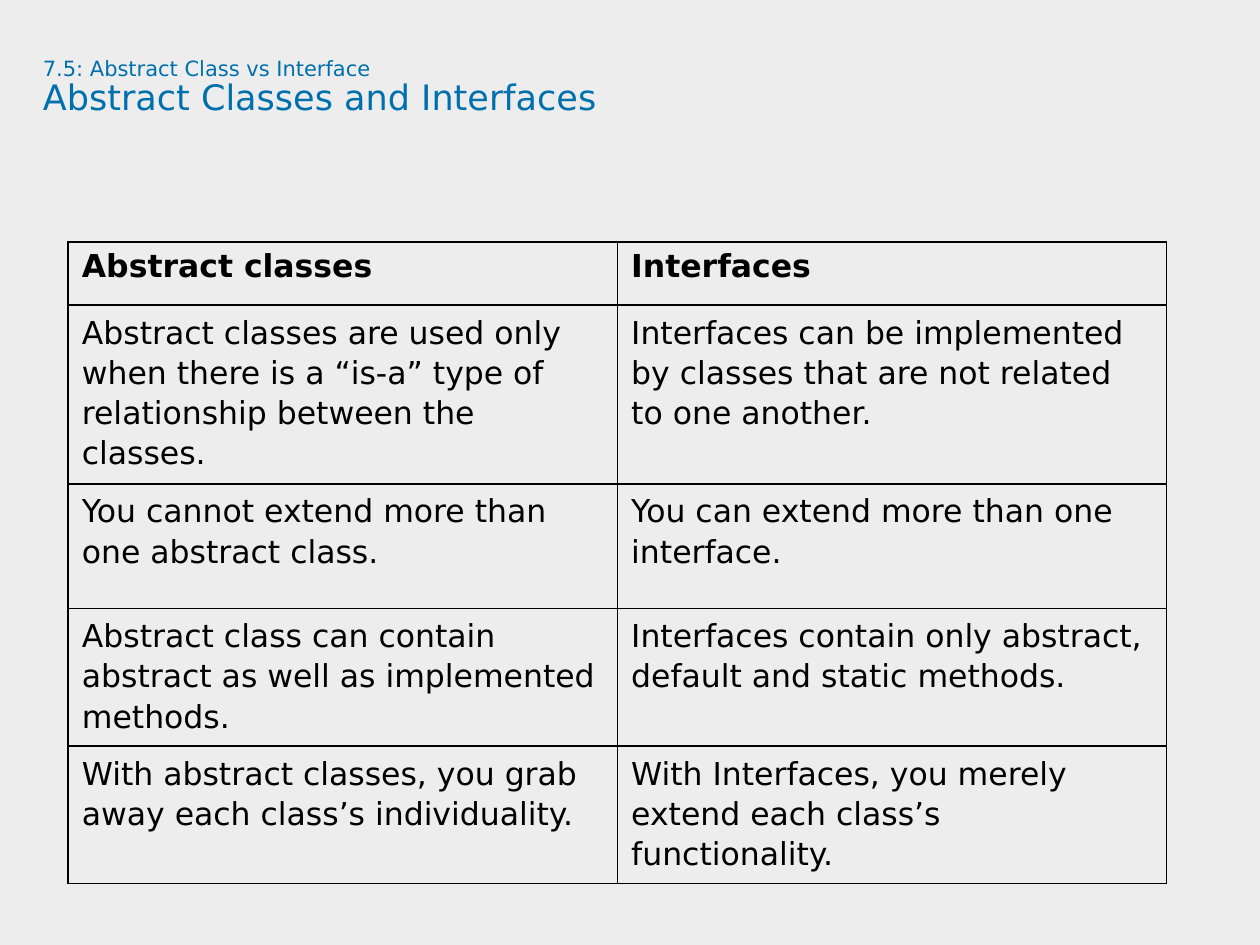
from lxml import etree
from pptx import Presentation
from pptx.dml.color import RGBColor
from pptx.oxml.ns import qn
from pptx.util import Inches, Pt

FONT = "DejaVu Sans"
BACKGROUND = RGBColor(0xED, 0xED, 0xED)
TITLE_BLUE = RGBColor(0x00, 0x70, 0xAD)
BLACK = RGBColor(0x00, 0x00, 0x00)

TITLE_LINES = [
    ("7.5: Abstract Class vs Interface", 12),
    ("Abstract Classes and Interfaces", 20),
]
COMPARISON = [
    ("Abstract classes", "Interfaces"),
    ("Abstract classes are used only when there is a “is-a” type of "
     "relationship between the classes.",
     "Interfaces can be implemented by classes that are not related to one another."),
    ("You cannot extend more than one abstract class.",
     "You can extend more than one interface."),
    ("Abstract class can contain abstract as well as implemented methods.",
     "Interfaces contain only abstract, default and static methods."),
    ("With abstract classes, you grab away each class’s individuality.",
     "With Interfaces, you merely extend each class’s functionality."),
]
ROW_HEIGHTS = [0.5, 1.36, 0.99, 1.01, 0.93]


def set_font(paragraph, size, color, bold=False):
    font = paragraph.font
    font.name = FONT
    font.size = Pt(size)
    font.bold = bold
    font.color.rgb = color


def add_title(slide, left, top, width, height):
    frame = slide.shapes.add_textbox(left, top, width, height).text_frame
    frame.word_wrap = True
    frame.margin_left = frame.margin_right = 0
    frame.margin_top = frame.margin_bottom = 0
    for index, (text, size) in enumerate(TITLE_LINES):
        paragraph = frame.add_paragraph() if index else frame.paragraphs[0]
        paragraph.text = text
        paragraph.line_spacing = 0.9
        set_font(paragraph, size, TITLE_BLUE)


def add_borders(cell):
    """Draw a one-point black line on all four sides of the cell."""
    properties = cell._tc.get_or_add_tcPr()
    for index, side in enumerate(("a:lnL", "a:lnR", "a:lnT", "a:lnB")):
        line = etree.Element(qn(side), w=str(Pt(1)))
        fill = etree.SubElement(line, qn("a:solidFill"))
        etree.SubElement(fill, qn("a:srgbClr"), val=str(BLACK))
        properties.insert(index, line)


def add_comparison(slide, left, top, width, height):
    columns = len(COMPARISON[0])
    table = slide.shapes.add_table(
        len(COMPARISON), columns, left, top, width, height).table
    table.horz_banding = False
    table.first_row = False
    for column in table.columns:
        column.width = width // columns
    for row_index, texts in enumerate(COMPARISON):
        is_header = row_index == 0
        table.rows[row_index].height = Inches(ROW_HEIGHTS[row_index])
        for column_index, text in enumerate(texts):
            cell = table.cell(row_index, column_index)
            cell.fill.background()
            cell.margin_left = cell.margin_right = Inches(0.11)
            add_borders(cell)
            paragraph = cell.text_frame.paragraphs[0]
            paragraph.text = text
            paragraph.line_spacing = 1.0 if is_header else 1.1
            set_font(paragraph, 18, BLACK, bold=is_header)


def main():
    presentation = Presentation()
    presentation.slide_width = Inches(10)
    presentation.slide_height = Inches(7.5)
    slide = presentation.slides.add_slide(presentation.slide_layouts[6])
    slide.background.fill.solid()
    slide.background.fill.fore_color.rgb = BACKGROUND
    add_title(slide, Inches(0.34), Inches(0.46), Inches(9.09), Inches(0.94))
    add_comparison(slide, Inches(0.54), Inches(1.92), Inches(8.72),
                   Inches(sum(ROW_HEIGHTS)))
    presentation.save("out.pptx")


if __name__ == "__main__":
    main()
